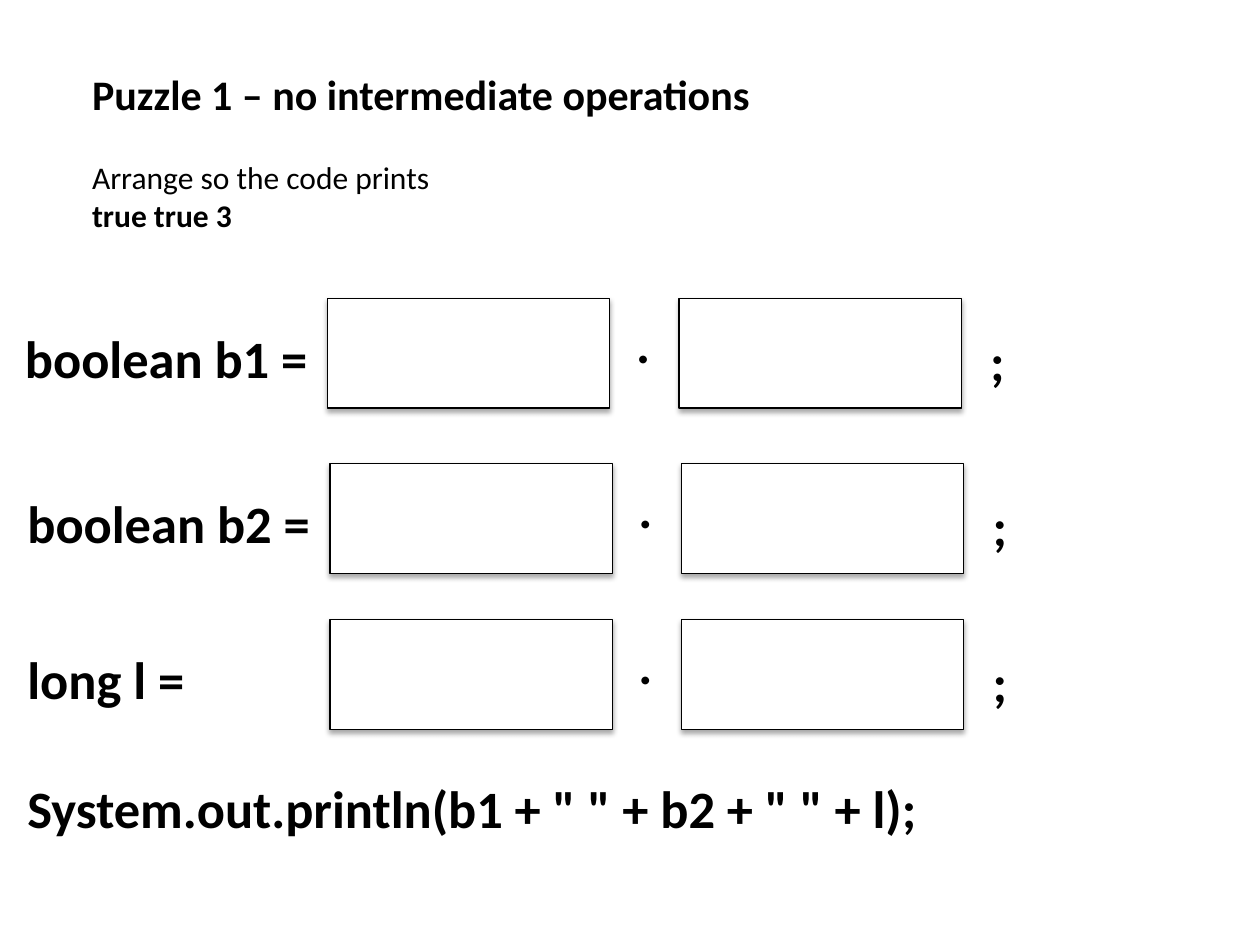
from lxml import etree
from pptx import Presentation
from pptx import util as u
from pptx.dml.color import RGBColor
from pptx.enum import shapes, text
from pptx.oxml import parse_xml
from pptx.oxml.ns import nsdecls, qn

COLOURS = {"ink": "000000", "paper": "FFFFFF"}
FONT = "Calibri"
CODE_SIZE = 30
BOX_WIDTH, BOX_HEIGHT = 161.3, 62.6
CODE_HEIGHT = 44

# Label, left edge and top of the answer boxes
STATEMENTS = [
    ("boolean b1 =", 7.2, 170.6),
    ("boolean b2 =", 8.6, 265),
    ("long l =", 8.6, 354.2),
]


def colour(name):
    """Return the named colour."""
    return RGBColor.from_string(COLOURS[name])


def place(shape, left, top, width, height):
    """Move and size a shape in points."""
    shape.left, shape.top = u.Pt(left), u.Pt(top)
    shape.width, shape.height = u.Pt(width), u.Pt(height)


def format_paragraph(paragraph, size, bold):
    """Set a left-aligned paragraph with no extra spacing."""
    paragraph.alignment = text.PP_ALIGN.LEFT
    paragraph.space_before = u.Pt(0)
    for run in paragraph.runs:
        run.font.name = FONT
        run.font.size = u.Pt(size)
        run.font.bold = bold
        run.font.color.rgb = colour("ink")


def fill_placeholder(placeholder, lines, size, bolds, bounds):
    """Place a placeholder and set its lines without bullets."""
    place(placeholder, *bounds)
    frame = placeholder.text_frame
    frame.text = "\n".join(lines)
    frame.word_wrap = True
    frame.auto_size = text.MSO_AUTO_SIZE.NONE
    frame.vertical_anchor = text.MSO_ANCHOR.TOP
    for paragraph, bold in zip(frame.paragraphs, bolds):
        format_paragraph(paragraph, size, bold)
        properties = paragraph._p.get_or_add_pPr()
        properties.set("marL", "0")
        properties.set("indent", "0")
        etree.SubElement(properties, qn("a:buNone"))


def add_code(slide, code, left, top, width):
    """Add one line of bold code."""
    shape = slide.shapes.add_textbox(u.Pt(left), u.Pt(top), u.Pt(width), u.Pt(CODE_HEIGHT))
    frame = shape.text_frame
    frame.text = code
    frame.word_wrap = True
    format_paragraph(frame.paragraphs[0], CODE_SIZE, True)


def add_answer_box(slide, left, top):
    """Add an empty outlined box with a soft shadow below."""
    shape = slide.shapes.add_shape(
        shapes.MSO_SHAPE.RECTANGLE, u.Pt(left), u.Pt(top), u.Pt(BOX_WIDTH), u.Pt(BOX_HEIGHT))
    shape.fill.solid()
    shape.fill.fore_color.rgb = colour("paper")
    shape.line.color.rgb = colour("ink")
    shape.line.width = u.Pt(0.75)
    shape.shadow.inherit = False
    effects = shape._element.spPr.find(qn("a:effectLst"))
    effects.append(parse_xml(
        f'<a:outerShdw {nsdecls("a")} blurRad="{u.Pt(3.1)}" dist="{u.Pt(1.8)}" '
        f'dir="5400000" rotWithShape="0"><a:srgbClr val="{COLOURS["ink"]}">'
        '<a:alpha val="35000"/></a:srgbClr></a:outerShdw>'))


def add_statement(slide, label, left, top):
    """Add a label, two answer boxes, the dot between them and a semicolon."""
    add_code(slide, label, left, top + 12.2, 360)
    add_answer_box(slide, left + 180, top)
    add_code(slide, ".", left + 349.2, top + 3.6, 31.7)
    add_answer_box(slide, left + 380.9, top)
    add_code(slide, ";", left + 551.5, top + 14, 31.7)


def main():
    """Build the puzzle slide."""
    presentation = Presentation()
    presentation.slide_width, presentation.slide_height = u.Pt(720), u.Pt(540)
    slide = presentation.slides.add_slide(presentation.slide_layouts[1])
    title, body = slide.placeholders
    fill_placeholder(title, ["Puzzle 1 – no intermediate operations"], 24, [True],
                     (45.4, 35.3, 490.3, 36.5))
    fill_placeholder(body, ["Arrange so the code prints ", "true true 3"], 18, [False, True],
                     (45.4, 86.6, 490.3, 51.2))
    for statement in STATEMENTS:
        add_statement(slide, *statement)
    add_code(slide, 'System.out.println(b1 + " " + b2 + " " + l);', 8.6, 439.9, 691.2)
    presentation.save("out.pptx")


main()
